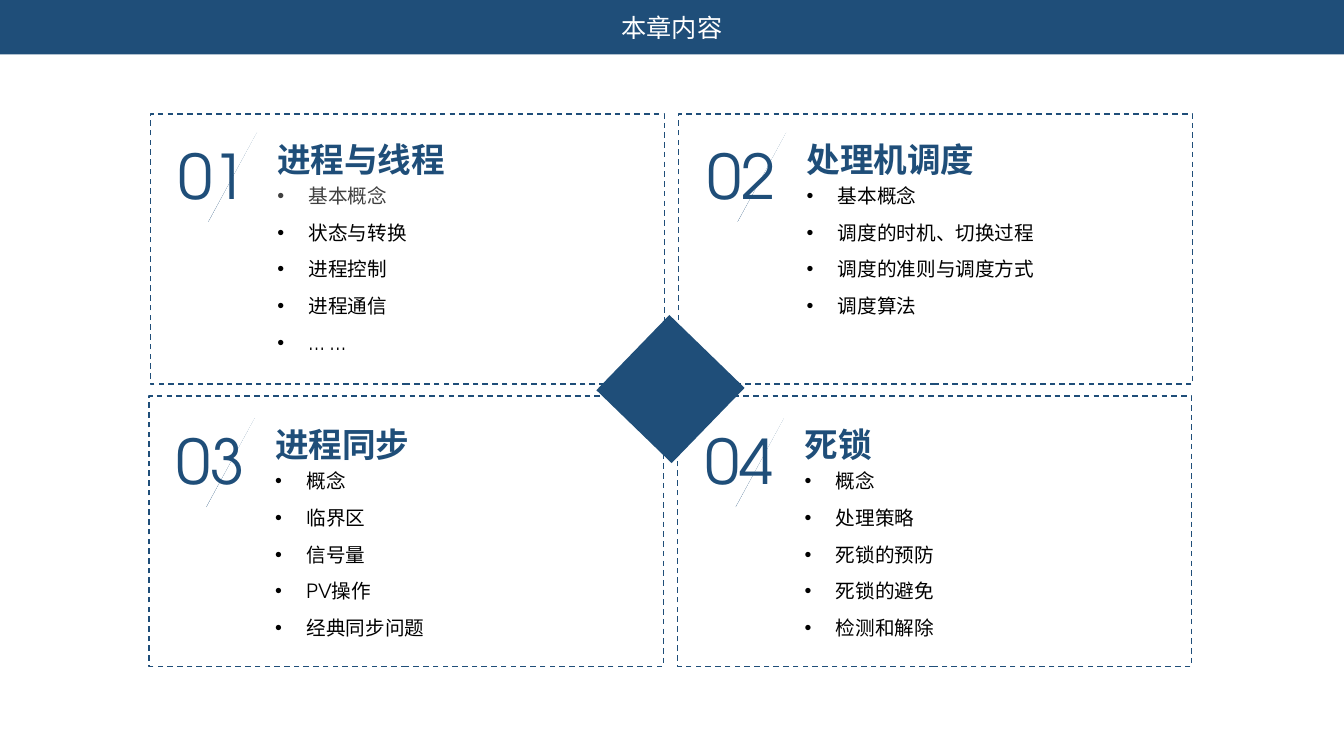
from pptx import Presentation
from pptx.dml.color import RGBColor
from pptx.enum.dml import MSO_LINE
from pptx.enum.shapes import MSO_CONNECTOR as Connector, MSO_SHAPE as Preset
from pptx.enum.text import MSO_ANCHOR as Anchor, MSO_AUTO_SIZE as AutoSize, PP_ALIGN as Align
from pptx.oxml.ns import qn
from pptx.util import Inches, Pt
from lxml.etree import SubElement

LATIN, CHINESE = "TeX Gyre Adventor", "Noto Sans CJK SC"
BLUE, WHITE, BLACK, GREY = "1F4E79", "FFFFFF", "000000", "404040"


def color(hex_string):
    return RGBColor.from_string(hex_string)


class ChapterSlide:
    """Style and element builders for one slide."""

    def __init__(self, slide):
        self.slide = slide
        self.shapes = slide.shapes

    def rectangle(self, box, fill=None, line=None, rotation=0, shapes=None):
        shape = (shapes or self.shapes).add_shape(Preset.RECTANGLE, *map(Inches, box))
        shape.shadow.inherit = False
        shape.rotation = rotation
        if fill:
            shape.fill.solid()
            shape.fill.fore_color.rgb = color(fill)
        else:
            shape.fill.background()
        if line:
            shape.line.color.rgb = color(line)
            shape.line.width = Pt(1)
            shape.line.dash_style = MSO_LINE.DASH
        else:
            shape.line.fill.background()
        return shape

    def style_run(self, run, size, hex_string, bold=False, latin=LATIN):
        font = run.font
        font.size, font.bold, font.name = Pt(size), bold, latin
        font.color.rgb = color(hex_string)
        east_asian = SubElement(run._r.get_or_add_rPr(), qn("a:ea"))
        east_asian.set("typeface", CHINESE)

    def place(self, shape, box, wrap=True):
        shape.left, shape.top, shape.width, shape.height = map(Inches, box)
        frame = shape.text_frame
        frame.word_wrap = wrap
        frame.auto_size = AutoSize.SHAPE_TO_FIT_TEXT
        frame.vertical_anchor = Anchor.TOP
        return frame

    def title(self, text, box):
        frame = self.place(self.shapes.title, box)
        frame.text = text
        paragraph = frame.paragraphs[0]
        paragraph.alignment = Align.CENTER
        self.style_run(paragraph.runs[0], 18, WHITE)

    def label(self, text, box, size, bold=False, spacing=1.0, shapes=None):
        shape = (shapes or self.shapes).add_textbox(*map(Inches, box))
        frame = self.place(shape, box, wrap=False)
        frame.text = text
        paragraph = frame.paragraphs[0]
        paragraph.line_spacing = spacing
        self.style_run(paragraph.runs[0], size, BLUE, bold)

    def number(self, text, left, top):
        """Number cut by a slanted white strip, with a thin line along it."""
        shapes = self.shapes.add_group_shape().shapes
        self.label(text, (left, top, 0.89, 0.84), 44, shapes=shapes)
        ends = (left + 0.4, top + 0.88, left + 0.88, top)
        slash = shapes.add_connector(Connector.STRAIGHT, *map(Inches, ends))
        slash.line.color.rgb = color(BLUE)
        slash.line.width = Pt(0.5)
        SubElement(slash.element.spPr, qn("a:effectLst"))
        self.rectangle((left + 0.58, top - 0.04, 0.17, 1.21), WHITE,
                       rotation=208.4, shapes=shapes)

    def bullets(self, placeholder, items, box):
        frame = self.place(placeholder, box)
        frame.text = "\n".join(items)
        for index, paragraph in enumerate(frame.paragraphs):
            paragraph.line_spacing = 1.2
            paragraph.space_before = Pt(6 if index else 0)
            properties = paragraph._p.get_or_add_pPr()
            properties.set("marL", str(Inches(0.31)))
            properties.set("indent", str(-Inches(0.31)))
            SubElement(properties, qn("a:buFont")).set("typeface", "Arial")
            SubElement(properties, qn("a:buChar")).set("char", "•")
            self.style_run(paragraph.runs[0], 14, BLACK)


def main():
    presentation = Presentation()
    presentation.slide_width, presentation.slide_height = Inches(13.33), Inches(7.5)
    # The comparison layout offers a title and four body placeholders
    slide = presentation.slides.add_slide(presentation.slide_layouts[4])
    chapter = ChapterSlide(slide)

    # Title bar, placed behind the title
    bar = chapter.rectangle((0, 0, 13.33, 0.54), BLUE)
    slide.shapes.title.element.addprevious(bar.element)
    chapter.title("本章内容", (0, 0.07, 13.33, 0.4))

    # Four topic cards
    topics = [
        ("进程与线程", ["基本概念", "状态与转换", "进程控制", "进程通信", "… …"]),
        ("处理机调度", ["基本概念", "调度的时机、切换过程", "调度的准则与调度方式", "调度算法"]),
        ("进程同步", ["概念", "临界区", "信号量", "PV操作", "经典同步问题"]),
        ("死锁", ["概念", "处理策略", "死锁的预防", "死锁的避免", "检测和解除"]),
    ]
    bodies = list(slide.placeholders)[1:]
    for index, (heading, items) in enumerate(topics):
        row, column = divmod(index, 2)
        chapter.rectangle((1.49 + 5.24 * column - 0.01 * row, 1.13 + 2.8 * row, 5.1, 2.68),
                          line=BLUE)
        left, top = 1.67 + 5.25 * column - 0.02 * row, 1.32 + 2.83 * row
        chapter.number(f"{index + 1:02}", left, top)
        chapter.label(heading, (left + 0.98, top - 0.11, 0.21 + len(heading) / 3, 0.57),
                      24, bold=True, spacing=1.3)
        chapter.bullets(bodies[index], items,
                        (left + 0.98, top + 0.41, 3.78, 0.36 * len(items) + 0.02))

    # The first item is set in grey
    first_font = bodies[0].text_frame.paragraphs[0].runs[0].font
    first_font.name = CHINESE
    first_font.color.rgb = color(GREY)

    # Central diamond
    chapter.rectangle((6.13, 3.34, 1.04, 1.04), BLUE, rotation=44.1)

    presentation.save("out.pptx")


if __name__ == "__main__":
    main()
